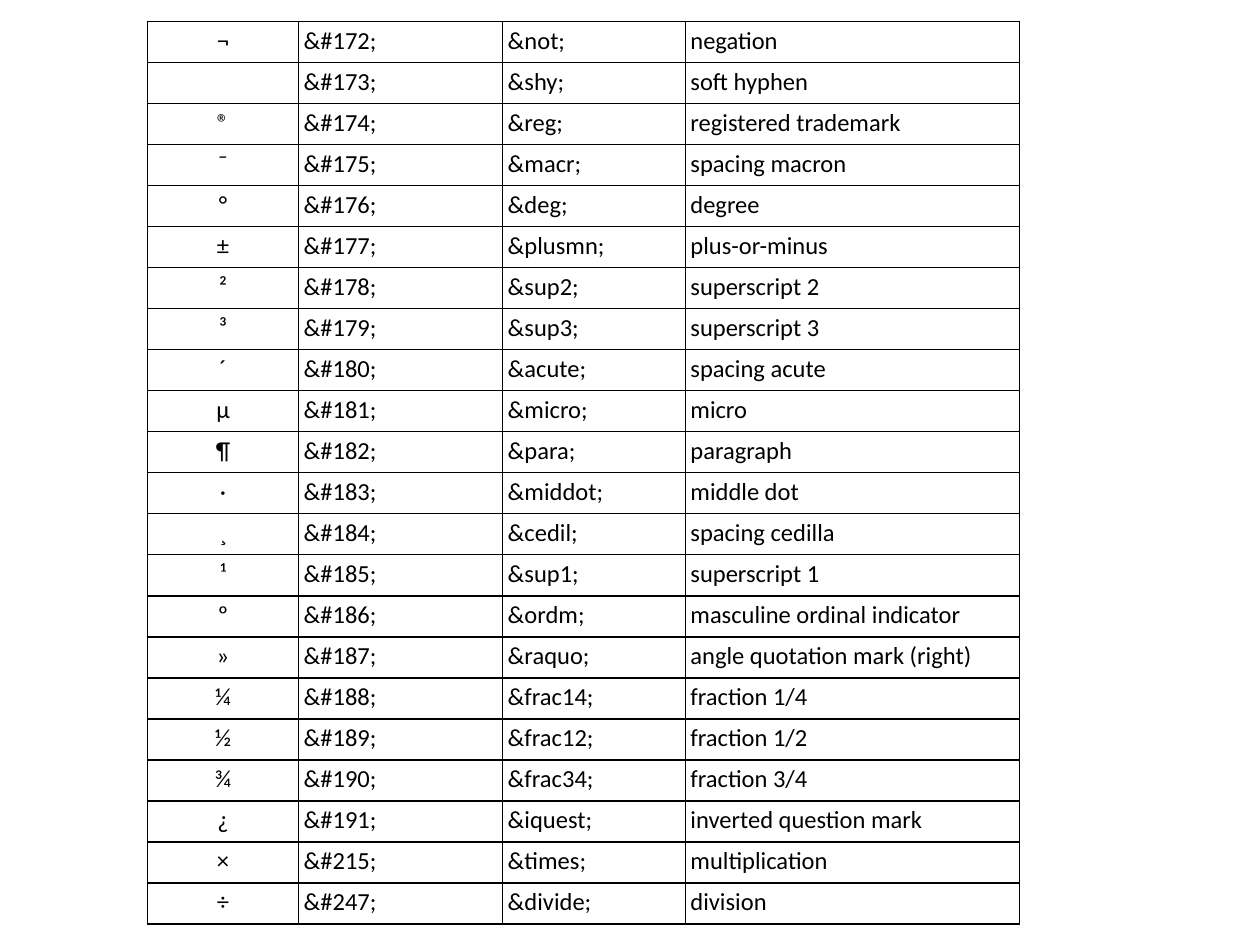
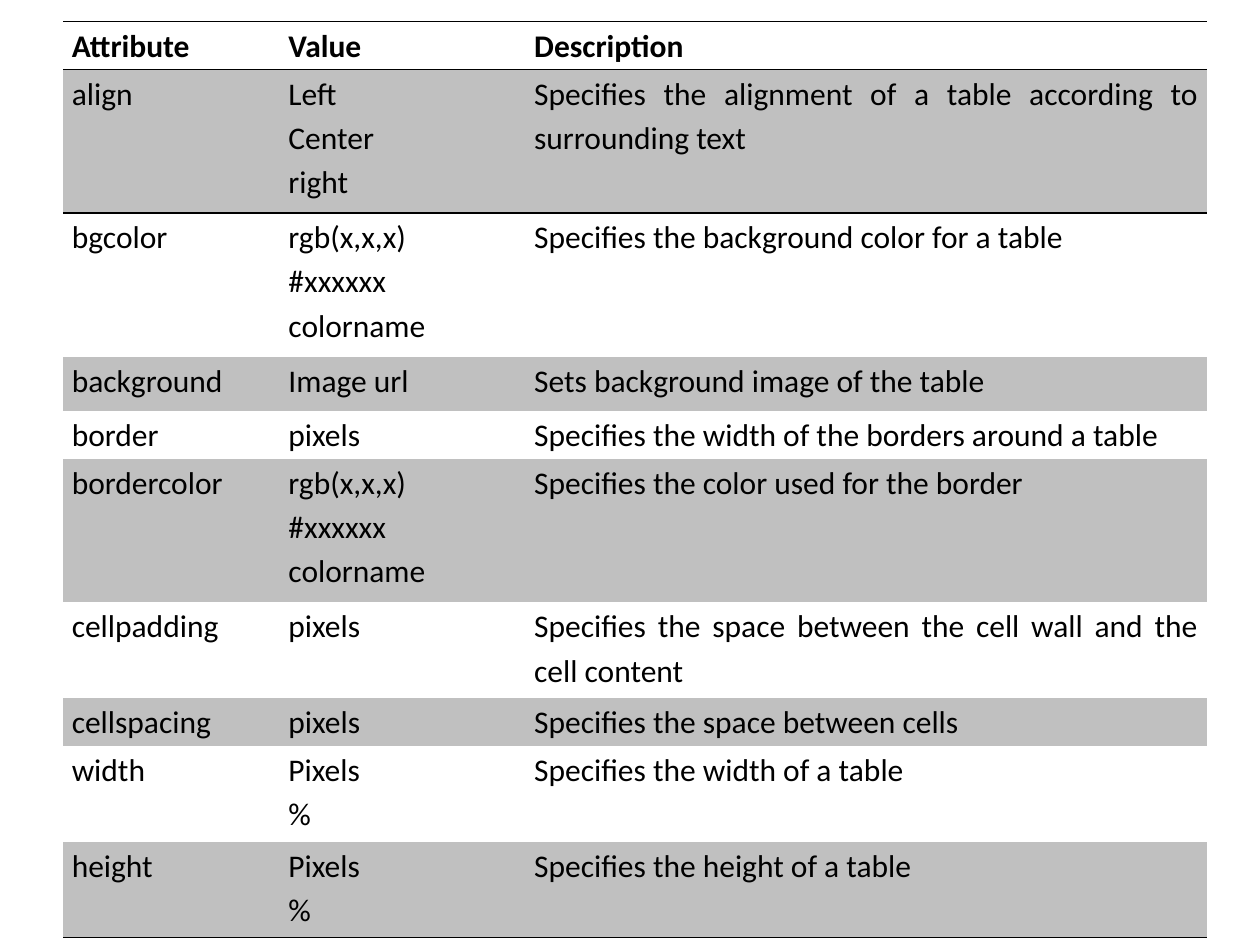
import itertools

import lxml.etree
import pptx
import pptx.dml.color
import pptx.enum.text
import pptx.oxml.ns
import pptx.util

Inches = pptx.util.Inches
Align = pptx.enum.text.PP_ALIGN
BLACK = pptx.dml.color.RGBColor(0x00, 0x00, 0x00)
BAND_GRAY = pptx.dml.color.RGBColor(0xC0, 0xC0, 0xC0)
FONT = "Calibri"
TABLE_TOP = Inches(0.17)
PLAIN_TABLE_STYLE = "{2D5ABB26-0587-4C30-8999-92F81FD0307C}"  # no style, no grid


def add_text_table(slide, left, widths, heights, rows, font_size, side_margin):
    """Add an unstyled table holding the rows of text."""
    frame = slide.shapes.add_table(
        len(rows), len(widths), left, TABLE_TOP, sum(widths), sum(heights))
    table = frame.table
    table.first_row = table.horz_banding = False
    style = next(frame._element.iter(pptx.oxml.ns.qn("a:tableStyleId")))
    style.text = PLAIN_TABLE_STYLE
    for column, width in zip(table.columns, widths):
        column.width = width
    for table_row, height, texts in zip(table.rows, heights, rows):
        table_row.height = height
        for cell, text in zip(table_row.cells, texts):
            cell.margin_left = cell.margin_right = side_margin
            cell.margin_top = cell.margin_bottom = 0
            cell.fill.background()
            if not text:
                continue
            cell.text_frame.text = text
            for paragraph in cell.text_frame.paragraphs:
                paragraph.line_spacing = 1.15
                font = paragraph.runs[0].font
                font.name = FONT
                font.size = pptx.util.Pt(font_size)
                font.color.rgb = BLACK
    return table


def add_borders(cell, sides):
    """Draw 1 pt borders on the sides, named in the order L, R, T, B."""
    properties = cell._tc.get_or_add_tcPr()
    for position, side in enumerate(sides):
        line = lxml.etree.Element(
            pptx.oxml.ns.qn(f"a:ln{side}"), w=str(pptx.util.Pt(1)))
        fill = lxml.etree.SubElement(line, pptx.oxml.ns.qn("a:solidFill"))
        lxml.etree.SubElement(fill, pptx.oxml.ns.qn("a:srgbClr"), val=str(BLACK))
        properties.insert(position, line)


presentation = pptx.Presentation()
presentation.slide_width = Inches(10)
presentation.slide_height = Inches(7.5)
blank_layout = presentation.slide_layouts[6]

# Slide 1: character entities, as symbol, entity name and description
entities = [
    ("¬", "not", "negation"),
    ("", "shy", "soft hyphen"),
    ("®", "reg", "registered trademark"),
    ("¯", "macr", "spacing macron"),
    ("°", "deg", "degree"),
    ("±", "plusmn", "plus-or-minus"),
    ("²", "sup2", "superscript 2"),
    ("³", "sup3", "superscript 3"),
    ("´", "acute", "spacing acute"),
    ("µ", "micro", "micro"),
    ("¶", "para", "paragraph"),
    ("·", "middot", "middle dot"),
    ("¸", "cedil", "spacing cedilla"),
    ("¹", "sup1", "superscript 1"),
    ("º", "ordm", "masculine ordinal indicator"),
    ("»", "raquo", "angle quotation mark (right)"),
    ("¼", "frac14", "fraction 1/4"),
    ("½", "frac12", "fraction 1/2"),
    ("¾", "frac34", "fraction 3/4"),
    ("¿", "iquest", "inverted question mark"),
    ("×", "times", "multiplication"),
    ("÷", "divide", "division"),
]
entity_codes = itertools.chain(range(172, 192), (215, 247))
entity_rows = [
    (symbol, f"&#{code};", f"&{name};", description)
    for code, (symbol, name, description) in zip(entity_codes, entities)
]
entity_widths = [Inches(width) for width in (1.2, 1.62, 1.45, 2.65)]
entity_heights = [Inches(7.17) // len(entity_rows)] * len(entity_rows)

slide = presentation.slides.add_slide(blank_layout)
entity_table = add_text_table(slide, Inches(1.17), entity_widths, entity_heights,
                              entity_rows, 14, Inches(0.04))
for cell in entity_table.iter_cells():
    add_borders(cell, "LRTB")
for table_row in entity_table.rows:
    table_row.cells[0].text_frame.paragraphs[0].alignment = Align.CENTER

# Slide 2: table attributes, with row height first
color_values = "rgb(x,x,x)\n#xxxxxx\ncolorname"
size_values = "Pixels\n%"
attributes = [
    (0.38, "Attribute", "Value", "Description"),
    (1.14, "align", "Left\nCenter\nright",
     "Specifies the alignment of a table according to surrounding text"),
    (1.14, "bgcolor", color_values, "Specifies the background color for a table"),
    (0.43, "background", "Image url", "Sets background image of the table"),
    (0.38, "border", "pixels", "Specifies the width of the borders around a table"),
    (1.14, "bordercolor", color_values, "Specifies the color used for the border"),
    (0.76, "cellpadding", "pixels",
     "Specifies the space between the cell wall and the cell content"),
    (0.38, "cellspacing", "pixels", "Specifies the space between cells"),
    (0.76, "width", size_values, "Specifies the width of a table"),
    (0.76, "height", size_values, "Specifies the height of a table"),
]
attribute_widths = [Inches(width) for width in (1.72, 1.95, 5.41)]
attribute_heights = [Inches(height) for height, *texts in attributes]
attribute_rows = [texts for height, *texts in attributes]
row_borders = {0: "TB", 1: "T", len(attributes) - 1: "B"}

slide = presentation.slides.add_slide(blank_layout)
attribute_table = add_text_table(slide, Inches(0.5), attribute_widths,
                                 attribute_heights, attribute_rows, 18, Inches(0.07))
for index, table_row in enumerate(attribute_table.rows):
    for cell in table_row.cells:
        if index % 2:
            cell.fill.solid()
            cell.fill.fore_color.rgb = BAND_GRAY
        add_borders(cell, row_borders.get(index, ""))
        for paragraph in cell.text_frame.paragraphs:
            paragraph.alignment = Align.JUSTIFY
            paragraph.runs[0].font.bold = index == 0

presentation.save("out.pptx")
